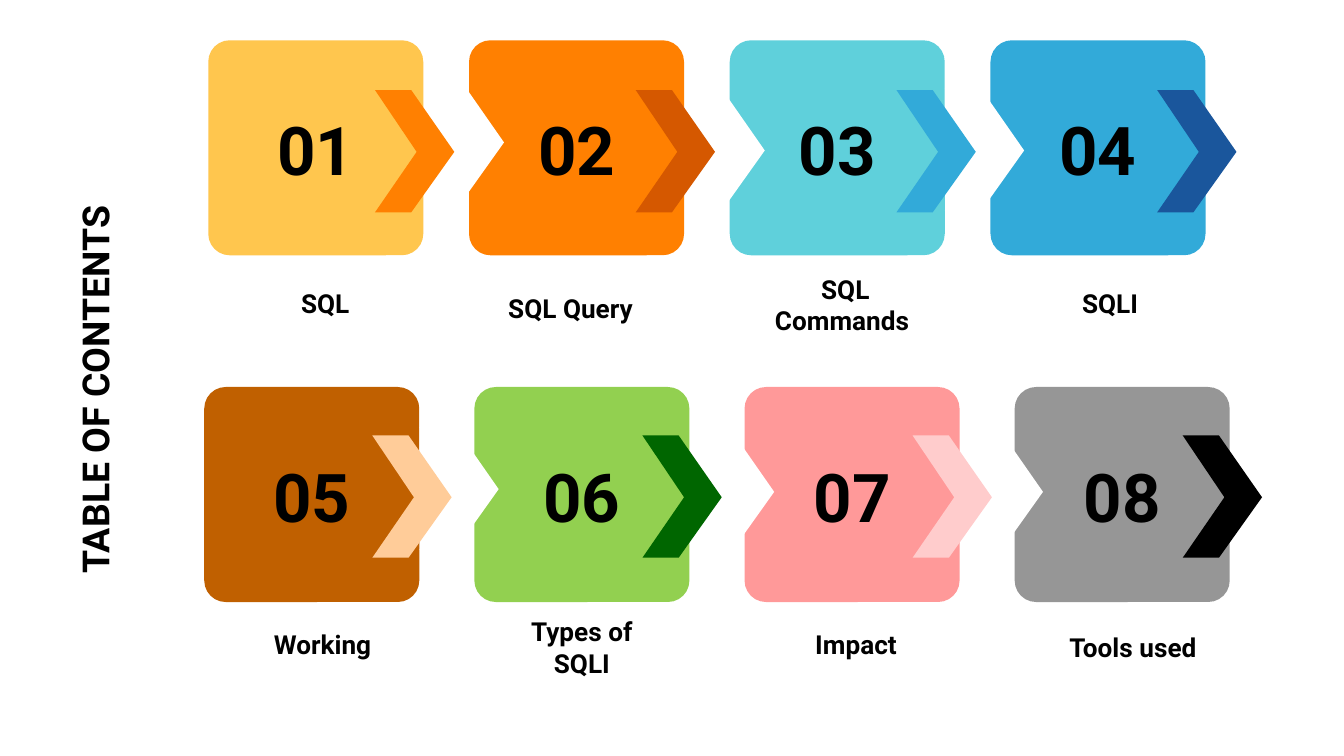
from dataclasses import dataclass

from pptx import Presentation
from pptx.dml.color import RGBColor
from pptx.enum.shapes import MSO_SHAPE
from pptx.enum.text import MSO_ANCHOR, MSO_AUTO_SIZE, PP_ALIGN
from pptx.util import Inches, Pt

ROUNDED = MSO_SHAPE.ROUNDED_RECTANGLE
CENTER = PP_ALIGN.CENTER
TOP, MIDDLE = MSO_ANCHOR.TOP, MSO_ANCHOR.MIDDLE
NO_FIT = MSO_AUTO_SIZE.NONE
TITLE_ONLY = 5


@dataclass(frozen=True)
class Theme:
    font: str = "Roboto"
    ink: str = "000000"
    paper: str = "FFFFFF"
    title_size: int = 20
    number_size: int = 36
    label_size: int = 14


@dataclass(frozen=True)
class Row:
    left: float
    top: float
    pitch: float
    arrow: tuple


@dataclass(frozen=True)
class Card:
    label: str
    tile: str
    arrow: str
    label_offset: tuple
    notch_offset: tuple = None


THEME = Theme()
TILE = 1.6
CHEVRON = [(0, 0), (0.31, 0.46), (0, 0.91), (0.27, 0.91), (0.59, 0.46), (0.27, 0)]

# Offsets are measured from the top left corner of each tile
ROWS = [
    (Row(1.55, 0.3, 1.94, (1.24, 0.37)), [
        Card(" SQL ", "FFC64E", "FF8001", (0.07, 1.57)),
        Card("SQL Query ", "FF8001", "D55800", (-0.02, 1.61), (-0.33, 0.3)),
        Card("SQL Commands ", "5FD0DB", "32AAD9", (0.06, 1.58), (-0.33, 0.36)),
        Card("SQLI", "32AAD9", "1A569C", (0.09, 1.57), (-0.34, 0.36)),
    ]),
    (Row(1.52, 2.88, 2.01, (1.25, 0.36)), [
        Card("Working", "C06000", "FFCC99", (0.08, 1.53)),
        Card("Types of SQLI", "92D050", "006600", (0, 1.55), (-0.41, 0.3)),
        Card("Impact", "FF9999", "FFCCCC", (0.03, 1.53), (-0.37, 0.32)),
        Card("Tools used", "969696", "000000", (0.08, 1.55), (-0.38, 0.32)),
    ]),
]


def paint(shape, color):
    shape.shadow.inherit = False
    shape.fill.solid()
    shape.fill.fore_color.rgb = RGBColor.from_string(color)
    shape.line.fill.background()


def write(shape, text, size, inset, anchor):
    frame = shape.text_frame
    margin = Inches(inset)
    frame_format = {
        "word_wrap": True, "auto_size": NO_FIT, "vertical_anchor": anchor,
        "margin_left": margin, "margin_right": margin,
        "margin_top": margin, "margin_bottom": margin,
    }
    for name, value in frame_format.items():
        setattr(frame, name, value)
    paragraph = frame.paragraphs[0]
    paragraph.alignment = CENTER
    run = paragraph.add_run()
    run.text = text
    for name, value in {"name": THEME.font, "size": Pt(size), "bold": True}.items():
        setattr(run.font, name, value)
    run.font.color.rgb = RGBColor.from_string(THEME.ink)


def add_title(slide, text):
    title = slide.shapes.title
    position = {"left": -3.8, "top": 2.6, "width": 9, "height": 0.53}
    for name, value in position.items():
        setattr(title, name, Inches(value))
    title.rotation = 270
    write(title, text, THEME.title_size, 0.1, TOP)


def add_tile(slide, left, top, color):
    tile = slide.shapes.add_shape(
        ROUNDED, Inches(left), Inches(top), Inches(TILE), Inches(TILE))
    tile.adjustments[0] = 0.1
    paint(tile, color)


def add_chevron(slide, left, top, color):
    points = [(Inches(left + x), Inches(top + y)) for x, y in CHEVRON]
    builder = slide.shapes.build_freeform(*points[0])
    builder.add_line_segments(points[1:], close=True)
    paint(builder.convert_to_shape(), color)


def add_text(slide, left, top, width, height, text, size):
    box = slide.shapes.add_textbox(
        Inches(left), Inches(top), Inches(width), Inches(height))
    write(box, text, size, 0.25, MIDDLE)


def add_card(slide, left, top, row, card, number):
    add_tile(slide, left, top, card.tile)
    # White cut in the left edge, where the previous arrow points in
    if card.notch_offset:
        notch_x, notch_y = card.notch_offset
        add_chevron(slide, left + notch_x, top + notch_y, THEME.paper)
    arrow_x, arrow_y = row.arrow
    add_chevron(slide, left + arrow_x, top + arrow_y, card.arrow)
    add_text(slide, left + 0.25, top + 0.35, 1.1, 0.91,
             f"{number:02d}", THEME.number_size)
    label_x, label_y = card.label_offset
    add_text(slide, left + label_x, top + label_y, TILE, 0.77,
             card.label, THEME.label_size)


def main():
    presentation = Presentation()
    # Widescreen, 16 to 9
    presentation.slide_width = Inches(10)
    presentation.slide_height = Inches(10 * 9 / 16)
    slide = presentation.slides.add_slide(presentation.slide_layouts[TITLE_ONLY])

    add_title(slide, "TABLE OF CONTENTS ")

    # Two rows of numbered cards
    number = 1
    for row, cards in ROWS:
        for column, card in enumerate(cards):
            add_card(slide, row.left + column * row.pitch, row.top, row, card, number)
            number += 1

    presentation.save("out.pptx")


if __name__ == "__main__":
    main()
